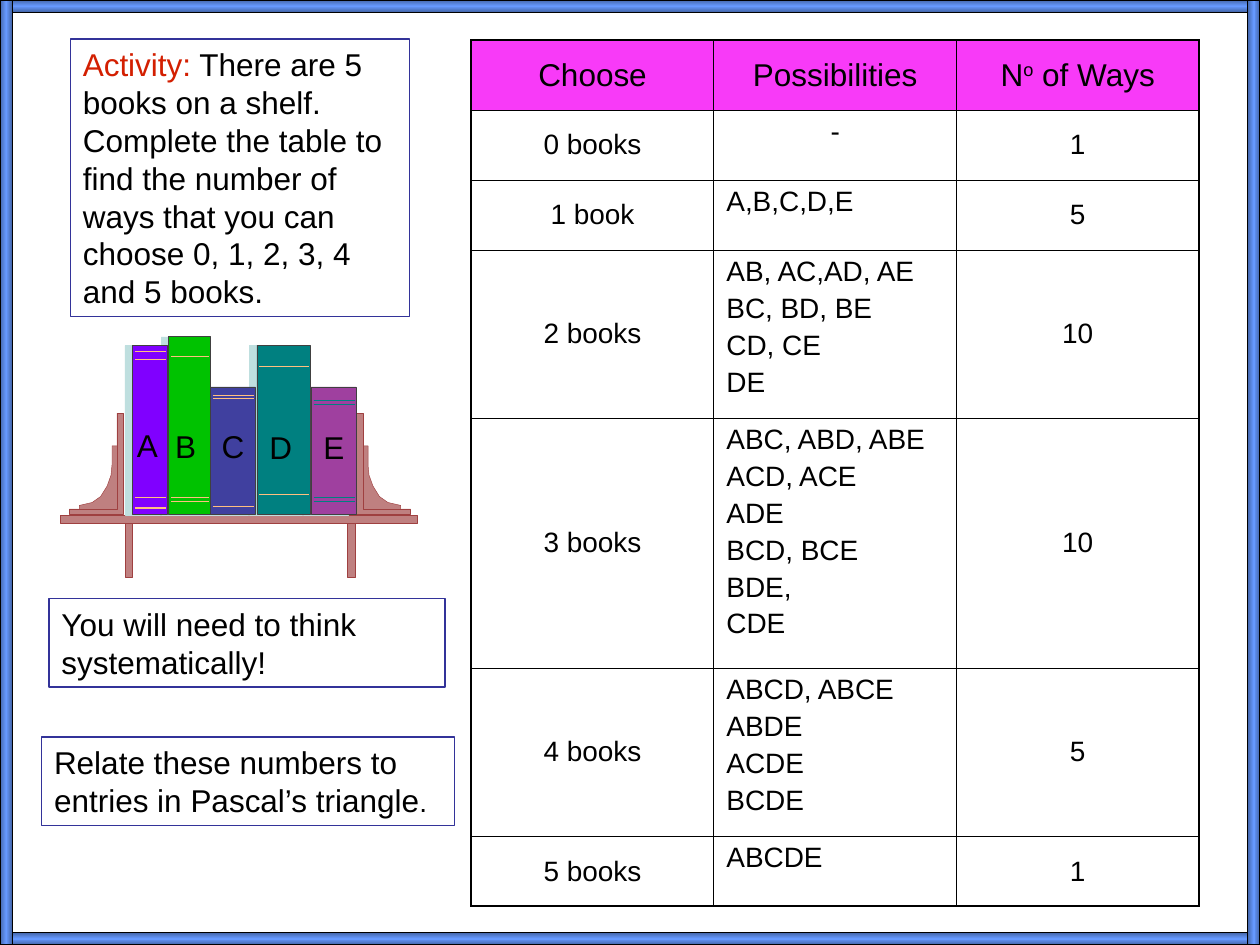
from copy import deepcopy
from lxml.etree import SubElement
from pptx import Presentation
from pptx.dml.color import RGBColor
from pptx.enum.shapes import MSO_CONNECTOR, MSO_SHAPE
from pptx.enum.text import MSO_ANCHOR, PP_ALIGN
from pptx.oxml.ns import qn
from pptx.util import Cm, Pt

COLORS = dict(text="000000", accent="D31F01", outline="333399", header="F83AF8",
              wood="BF8080", wood_edge="9F4040", shade="BFDFDF", book_edge="404040",
              gold="FFBF80", teal="008080", violet="8000FF", navy="40409F",
              plum="9F409F", green="00C200", frame_dark="4365A8", frame_light="6699FF")

# Content: lines of runs are (text, format)
HEADER = [[("Choose", {})], [("Possibilities", {})],
          [("N", {}), ("o", {"raised": True}), (" of Ways", {})]]
ROWS = [  # choice, possibilities, ways, row height
    ("0 books", ["-"], "1", 1.41),
    ("1 book", ["A,B,C,D,E"], "5", 1.41),
    ("2 books", ["AB, AC,AD, AE", "BC, BD, BE", "CD, CE", "DE"], "10", 3.39),
    ("3 books", ["ABC, ABD, ABE", "ACD, ACE", "ADE", "BCD, BCE", "BDE,", "CDE"], "10", 5.04),
    ("4 books", ["ABCD, ABCE", "ABDE", "ACDE", "BCDE"], "5", 3.39),
    ("5 books", ["ABCDE"], "1", 1.41),
]
TABLE_LEFT, TABLE_TOP, COL_WIDTH, HEADER_HEIGHT = 9.5, 0.81, 4.89, 1.41

NOTES = [  # runs, box
    ([("Activity:", {"color": "accent"}),
      (" There are 5 books on a shelf. Complete the table to find the number of ways "
       "that you can choose 0, 1, 2, 3, 4 and 5 books.", {})], (1.42, 0.79, 6.83, 5.59)),
    ([("You will need to think systematically!", {})], (0.99, 12.07, 7.98, 1.78)),
    ([("Relate these numbers to entries in Pascal’s triangle", {}), (".", {"size": 16})],
     (0.84, 14.86, 8.33, 1.78)),
]

BOOK_BOTTOM = 10.37
BOOKS = [  # letter, left, top, width, color, letter position, band color, weight, band heights
    ("A", 2.67, 6.96, 0.71, "violet", (2.51, 8.46), "gold", 0.62, [7.09, 7.24, 10.03, 10.24]),
    ("D", 5.18, 6.96, 1.07, "teal", (5.18, 8.51), "gold", 0.62, [7.39, 9.96]),
    ("C", 4.24, 7.8, 0.91, "navy", (4.22, 8.48), "gold", 0.25, [7.96, 8.03, 10.21]),
    ("E", 6.27, 7.8, 0.91, "plum", (6.27, 8.51), "teal", 0.62, [8.08, 8.15, 10.03, 10.11]),
    ("B", 3.4, 6.78, 0.84, "green", (3.28, 8.48), "gold", 0.25, [7.19, 10.03, 10.11]),
]
MIRROR = 9.68  # left x + right x for the paired wooden parts
LEG = [(7.01, 10.52), (7.16, 10.52), (7.16, 11.63), (7.01, 11.63)]
BRACE = [(7.29, 8.99), (7.42, 8.99), (7.42, 9.37), (7.44, 9.58), (7.52, 9.8), (7.65, 10.01),
         (7.82, 10.13), (8.08, 10.19), (8.08, 10.31), (7.26, 10.31)]
BOOKEND = [(7.19, 10.36), (7.19, 8.33), (7.32, 8.33), (7.32, 10.26), (8.28, 10.26), (8.28, 10.36)]
SHELF = (1.22, 10.39, 7.19, 0.15)

SLIDE_W, SLIDE_H, EDGE = 25.4, 19.05, 0.25
FRAME = [(0, 0, SLIDE_W, EDGE), (0, SLIDE_H - EDGE, SLIDE_W, EDGE),
         (0, 0, EDGE, SLIDE_H), (SLIDE_W - EDGE, 0, EDGE, SLIDE_H)]


def rgb(name):
    return RGBColor.from_string(COLORS[name])


def style(sp, fill, line, weight):
    sp.shadow.inherit = False
    if fill:
        sp.fill.solid()
        sp.fill.fore_color.rgb = rgb(fill)
    else:
        sp.fill.background()
    sp.line.color.rgb = rgb(line)
    sp.line.width = Pt(weight)


def add_rect(shapes, box, fill, line, weight):
    sp = shapes.add_shape(MSO_SHAPE.RECTANGLE, *map(Cm, box))
    style(sp, fill, line, weight)
    return sp


def add_wood_pair(shapes, points):
    for mirrored in (False, True):
        pts = [(Cm(MIRROR - x if mirrored else x), Cm(y)) for x, y in points]
        builder = shapes.build_freeform(*pts[0])
        builder.add_line_segments(pts[1:], close=True)
        style(builder.convert_to_shape(), "wood", "wood_edge", 0.25)


def add_band(shapes, x1, x2, y, color, weight):
    cx = shapes.add_connector(MSO_CONNECTOR.STRAIGHT, Cm(x1), Cm(y), Cm(x2), Cm(y))
    cx.line.color.rgb = rgb(color)
    cx.line.width = Pt(weight)
    SubElement(cx._element.spPr, qn("a:effectLst"))


def write(tf, lines, size=18, align=PP_ALIGN.LEFT, gap=0):
    tf.word_wrap = True
    for i, runs in enumerate(lines):
        p = tf.add_paragraph() if i else tf.paragraphs[0]
        p.alignment = align
        if i:
            p.space_before = Pt(gap)
        for text, fmt in runs:
            r = p.add_run()
            r.text = text
            font = {"name": "Arial", "size": Pt(fmt.get("size", size))}
            for key, value in font.items():
                setattr(r.font, key, value)
            r.font.color.rgb = rgb(fmt.get("color", "text"))
            if fmt.get("raised"):
                r.font._element.set("baseline", "30000")


def set_borders(cell, weights):
    tcPr = cell._tc.get_or_add_tcPr()
    for i, (side, weight) in enumerate(zip("LRTB", weights)):
        ln = SubElement(tcPr, qn("a:ln" + side), w=str(Pt(weight)))
        SubElement(SubElement(ln, qn("a:solidFill")), qn("a:srgbClr"), val=COLORS["text"])
        tcPr.insert(i, ln)


def add_ways_table(shapes):
    heights = [HEADER_HEIGHT] + [row[-1] for row in ROWS]
    n_rows, n_cols = len(heights), len(HEADER)
    table = shapes.add_table(n_rows, n_cols, Cm(TABLE_LEFT), Cm(TABLE_TOP),
                             Cm(COL_WIDTH * n_cols), Cm(sum(heights))).table
    table.first_row = table.horz_banding = False
    for col in table.columns:
        col.width = Cm(COL_WIDTH)
    for row, height in zip(table.rows, heights):
        row.height = Cm(height)
    body = [[[[(choice, {})]], [[(t, {})] for t in options], [[(ways, {})]]]
            for choice, options, ways, _ in ROWS]
    for i, row in enumerate([[[runs] for runs in HEADER]] + body):
        for j, lines in enumerate(row):
            cell = table.cell(i, j)
            listing = i > 0 and j == 1
            left_aligned = listing and i > 1
            write(cell.text_frame, lines, 16 if i else 18,
                  PP_ALIGN.LEFT if left_aligned else PP_ALIGN.CENTER, 3.3)
            cell.vertical_anchor = MSO_ANCHOR.TOP if listing else MSO_ANCHOR.MIDDLE
            if i:
                cell.fill.background()
            else:
                cell.fill.solid()
                cell.fill.fore_color.rgb = rgb("header")
            outer = (j == 0, j == n_cols - 1, i == 0, i == n_rows - 1)
            set_borders(cell, [1.08 if edge else 0.45 for edge in outer])


def add_bookshelf(shapes):
    for part in (LEG, BRACE, BOOKEND):
        add_wood_pair(shapes, part)
    add_rect(shapes, SHELF, "wood", "wood_edge", 0.25)
    for _, x, y, w, *_ in BOOKS:
        add_rect(shapes, (x - 0.15, y + 0.01, w, BOOK_BOTTOM - y), "shade", "shade", 0.25)
    for _, x, y, w, color, *_ in BOOKS:
        add_rect(shapes, (x, y, w, BOOK_BOTTOM - y), color, "book_edge", 0.25)
    for _, x, _, w, _, _, color, weight, bands in BOOKS:
        for y in bands:
            add_band(shapes, x + 0.05, x + w - 0.03, y, color, weight)
    for letter, *_, spot, _, _, _ in BOOKS:
        tb = shapes.add_textbox(*map(Cm, spot), Cm(1.12), Cm(1.02))
        write(tb.text_frame, [[(letter, {})]])


def add_frame(shapes):
    for box in FRAME:
        sp = add_rect(shapes, box, None, "text", 0.75)
        sp.fill.gradient()
        sp.fill.gradient_angle = 90 if box[2] > box[3] else 0
        stops = sp._element.spPr.find(qn("a:gradFill")).find(qn("a:gsLst"))
        stops.insert(1, deepcopy(stops[0]))
        for stop, at, color in zip(sp.fill.gradient_stops, (0, 0.5, 1),
                                   ("frame_dark", "frame_light", "frame_dark")):
            stop.position = at
            stop.color.rgb = rgb(color)


def main():
    prs = Presentation()
    prs.slide_width, prs.slide_height = Cm(SLIDE_W), Cm(SLIDE_H)
    s = prs.slides.add_slide(prs.slide_layouts[6])
    add_ways_table(s.shapes)
    add_bookshelf(s.shapes.add_group_shape().shapes)
    for runs, box in NOTES:
        sp = add_rect(s.shapes, box, None, "outline", 0.75)
        sp.text_frame.vertical_anchor = MSO_ANCHOR.TOP
        write(sp.text_frame, [runs])
    add_frame(s.shapes)
    prs.save("out.pptx")


if __name__ == "__main__":
    main()
